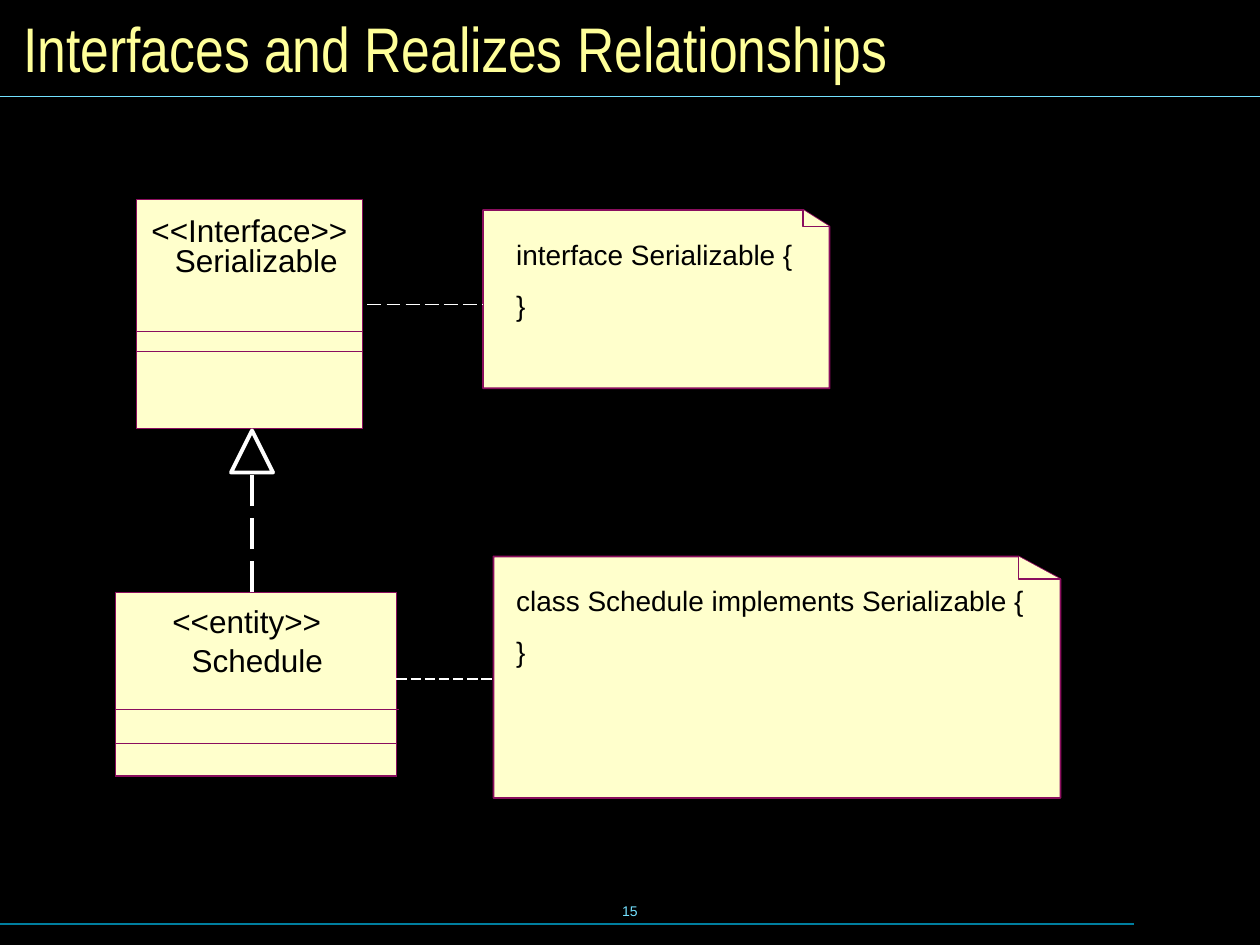
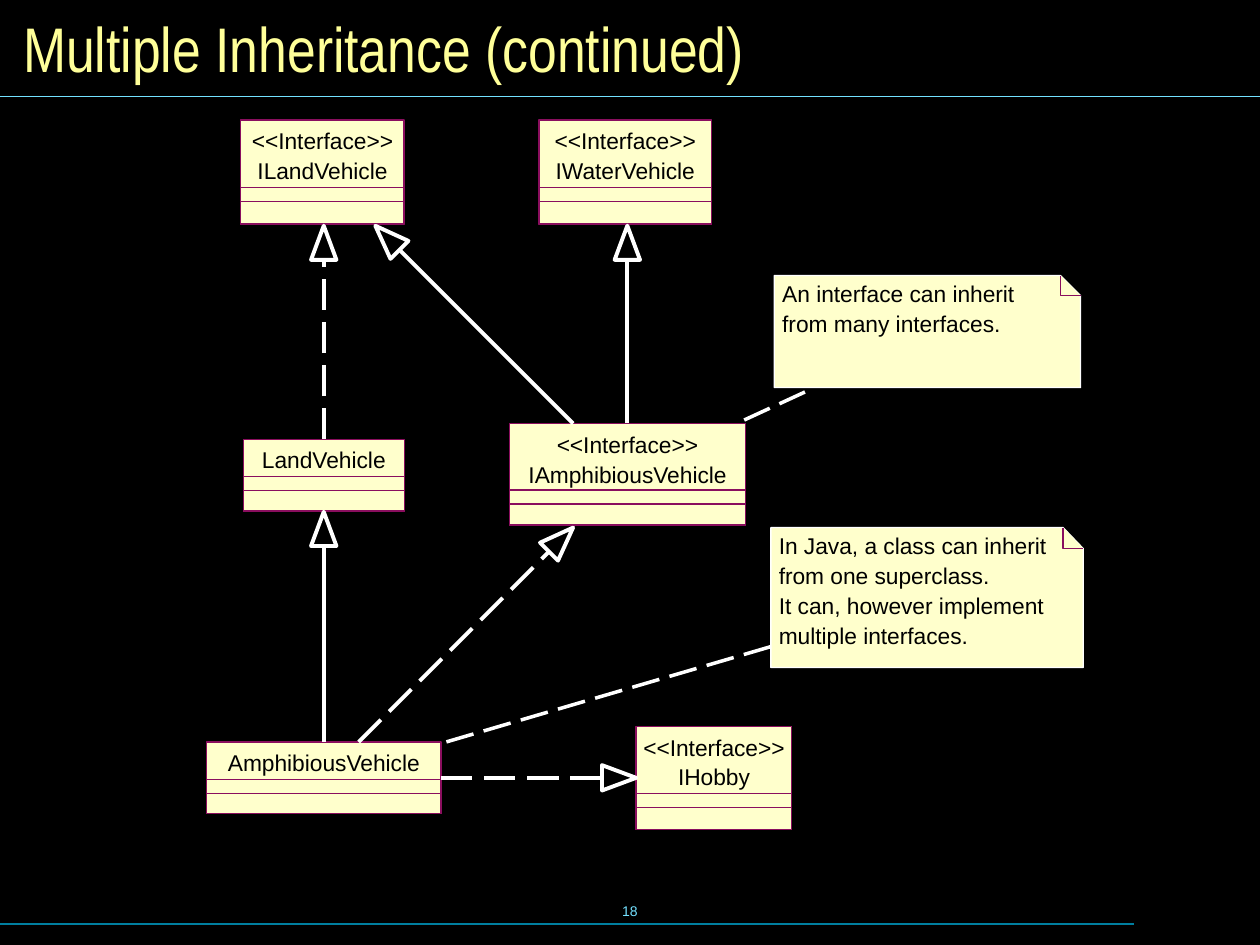
"""Build two slides of class diagrams about interfaces and inheritance."""
import math

from pptx import Presentation
from pptx.dml.color import RGBColor
from pptx.enum.dml import MSO_LINE
from pptx.enum.shapes import MSO_CONNECTOR, MSO_SHAPE
from pptx.enum.text import MSO_ANCHOR, MSO_AUTO_SIZE, PP_ALIGN
from pptx.oxml.xmlchemy import OxmlElement
from pptx.util import Pt

STRAIGHT = MSO_CONNECTOR.STRAIGHT
RECTANGLE, TRIANGLE = MSO_SHAPE.RECTANGLE, MSO_SHAPE.ISOSCELES_TRIANGLE
SOLID, DASHED = MSO_LINE.SOLID, MSO_LINE.LONG_DASH
TOP, MIDDLE = MSO_ANCHOR.TOP, MSO_ANCHOR.MIDDLE
LEFT, CENTER = PP_ALIGN.LEFT, PP_ALIGN.CENTER
NO_AUTOFIT = MSO_AUTO_SIZE.NONE

BLACK, WHITE, CREAM, PLUM = "000000", "FFFFFF", "FFFFCC", "8A0E5E"
YELLOW, AQUA, TEAL = "FFFF99", "73E1FF", "007E9F"
TITLE_FONT = {"name": "Arial Narrow", "size": Pt(36)}
PAGE_FONT = {"name": "Arial", "size": Pt(8)}
NAME_FONT = {"name": "Arial", "size": Pt(18)}
CODE_FONT = {"name": "Arial", "size": Pt(16)}
SMALL_FONT = {"name": "Arial", "size": Pt(13)}
ONE_LINE, TWO_LINES = (21.5, 29.5), (38.5, 46.5)

SHARED_LINES = [
    ((0, 528), (648, 528), TEAL, 0.75, SOLID, None),
    ((0, 55), (720, 55), AQUA, 0.75, SOLID, None),
]

# Class: left, top, width, height, section offsets, text lines.
# Note: left, top, width, height, fold width, fold height.
# Label: left, top, width, font, paragraph gap, text lines.
# Line: start, end, colour, width, dash, joined class side.
# Relation: start, tip, dash, joined class side.
SLIDES = [
    {
        "title": "Interfaces and Realizes Relationships",
        "number": "15",
        "classes": [
            (78, 114, 129, 131, (75.5, 87), []),
            (66, 338.5, 160.5, 105, (86.5,), []),
        ],
        "notes": [(276, 120, 198, 102, 15, 9.5), (282, 318, 324, 138, 24, 13)],
        "note_line": (PLUM, 1),
        "fold_line": (PLUM, 1),
        "labels": [
            (86.5, 120.5, 120, NAME_FONT, 0, ["<<Interface>>"]),
            (100, 138, 105, NAME_FONT, 0, ["Serializable"]),
            (98.5, 344, 105, NAME_FONT, 0, ["<<entity>>"]),
            (109.5, 366.5, 105, NAME_FONT, 0, ["Schedule"]),
            (295, 135.5, 172, CODE_FONT, 10, ["interface Serializable {", "}"]),
            (295, 333.5, 304, CODE_FONT, 10,
             ["class Schedule implements Serializable {", "}"]),
        ],
        "lines": [
            ((66, 405.5), (228, 405.5), PLUM, 1, SOLID, None),
            ((210, 174), (276, 174), WHITE, 1, DASHED, None),
            ((226.5, 388), (282, 388), WHITE, 0.75, DASHED, None),
        ],
        "head": (24, 24),
        "relations": [((144, 338.5), (144, 246), DASHED, None)],
    },
    {
        "title": "Multiple Inheritance (continued)",
        "number": "18",
        "classes": [
            (118, 424, 134, 41, ONE_LINE, ["AmphibiousVehicle"]),
            (139, 251, 92, 41, ONE_LINE, ["LandVehicle"]),
            (291, 242, 135, 58, (38, 46), ["<<Interface>>", "IAmphibiousVehicle"]),
            (363.5, 415, 89, 59, TWO_LINES, ["<<Interface>>", "IHobby"]),
            (308, 68.5, 98.5, 59.5, TWO_LINES, ["<<Interface>>", "IWaterVehicle"]),
            (137.5, 68.5, 93.5, 59.5, TWO_LINES, ["<<Interface>>", "ILandVehicle"]),
        ],
        "notes": [
            (440.5, 301.5, 178.5, 80, 11.5, 12),
            (442.5, 157.5, 175, 64, 11.5, 11.5),
        ],
        "note_line": (WHITE, 0),
        "fold_line": (PLUM, 0),
        "labels": [
            (445, 304, 170, SMALL_FONT, 1.5,
             ["In Java, a class can inherit", "from one superclass.",
              "It can, however implement", "multiple interfaces."]),
            (447, 160, 160, SMALL_FONT, 1.5,
             ["An interface can inherit", "from many interfaces."]),
        ],
        "lines": [
            ((440.5, 369.5), (251.5, 425), WHITE, 0, DASHED, None),
            ((460, 224), (421, 242), WHITE, 0, DASHED, None),
        ],
        "head": (14.5, 19.5),
        "relations": [
            ((185, 424), (185, 292.5), SOLID, ("AmphibiousVehicle", 0)),
            ((205, 424), (327.5, 301.5), DASHED, None),
            ((252, 444.5), (363.5, 444.5), DASHED, ("AmphibiousVehicle", 3)),
            ((358.5, 242), (358.5, 129), SOLID, ("IAmphibiousVehicle", 0)),
            ((327.5, 242), (214.5, 129), SOLID, None),
            ((185, 251), (185, 129), DASHED, ("LandVehicle", 0)),
        ],
    },
]


def paint(shape, line, width, fill=None):
    shape.shadow.inherit = False
    shape.line.color.rgb = RGBColor.from_string(line)
    shape.line.width = Pt(width)
    if fill:
        shape.fill.solid()
        shape.fill.fore_color.rgb = RGBColor.from_string(fill)
    else:
        shape.fill.background()


def write(shape, lines, font, color, align=LEFT, anchor=TOP, gap=0, margins=(0, 0)):
    frame = shape.text_frame
    side, top = map(Pt, margins)
    frame_format = {
        "word_wrap": True, "auto_size": NO_AUTOFIT, "vertical_anchor": anchor,
        "margin_left": side, "margin_right": side,
        "margin_top": top, "margin_bottom": top,
    }
    for name, value in frame_format.items():
        setattr(frame, name, value)
    frame.text = "\n".join(lines)
    for index, paragraph in enumerate(frame.paragraphs):
        paragraph.alignment = align
        paragraph.space_before = Pt(gap if index else 0)
        for name, value in font.items():
            setattr(paragraph.font, name, value)
        paragraph.font.color.rgb = RGBColor.from_string(color)


presentation = Presentation()
presentation.slide_width, presentation.slide_height = Pt(720), Pt(540)
background = presentation.slide_master.background.fill
background.solid()
background.fore_color.rgb = RGBColor.from_string(BLACK)

for content in SLIDES:
    slide = presentation.slides.add_slide(presentation.slide_layouts[5])
    shapes = slide.shapes
    title = shapes.title
    title.left, title.top, title.width, title.height = map(Pt, (6, 6, 708, 42))
    write(title, [content["title"]], TITLE_FONT, YELLOW, anchor=MIDDLE, margins=(7.2, 3.6))
    page_number = shapes.add_textbox(*map(Pt, (246, 502.5, 228, 36)))
    write(page_number, [content["number"]], PAGE_FONT, AQUA, CENTER, MIDDLE)

    classes = {}
    for left, top, width, height, sections, lines in content["classes"]:
        for offset in (0, *sections):
            section = shapes.add_shape(
                RECTANGLE, *map(Pt, (left, top + offset, width, height - offset)))
            paint(section, PLUM, 0, CREAM)
            if lines and not offset:
                write(section, lines, SMALL_FONT, BLACK, CENTER, gap=1.5, margins=(0, 4))
                classes[lines[-1]] = section

    for left, top, width, height, fold_width, fold_height in content["notes"]:
        right, bottom = left + width, top + height
        fold_left, fold_bottom = right - fold_width, top + fold_height
        body = [(left, top), (fold_left, top), (right, fold_bottom),
                (right, bottom), (left, bottom)]
        fold = [(fold_left, top), (fold_left, fold_bottom), (right, fold_bottom)]
        for points, closed, line in ((body, True, content["note_line"]),
                                     (fold, False, content["fold_line"])):
            corners = [(Pt(x), Pt(y)) for x, y in points]
            builder = shapes.build_freeform(*corners[0])
            builder.add_line_segments(corners[1:], close=closed)
            paint(builder.convert_to_shape(), *line, CREAM)

    for left, top, width, font, gap, lines in content["labels"]:
        label = shapes.add_textbox(*map(Pt, (left, top, width, 22 * len(lines))))
        write(label, lines, font, BLACK, gap=gap)

    all_lines = SHARED_LINES + content["lines"]
    head_width, head_length = content["head"]
    for start, tip, dash, joined in content["relations"]:
        across, down = tip[0] - start[0], tip[1] - start[1]
        share = head_length / math.hypot(across, down)
        base = (tip[0] - across * share, tip[1] - down * share)
        middle_x, middle_y = (tip[0] + base[0]) / 2, (tip[1] + base[1]) / 2
        head = shapes.add_shape(TRIANGLE, *map(Pt, (
            middle_x - head_width / 2, middle_y - head_length / 2,
            head_width, head_length)))
        head.rotation = math.degrees(math.atan2(across, -down))
        paint(head, WHITE, 2.25)
        all_lines.append((start, base, WHITE, 2.25, dash, joined))

    for start, end, color, width, dash, joined in all_lines:
        connector = shapes.add_connector(STRAIGHT, *map(Pt, (*start, *end)))
        connector.line.color.rgb = RGBColor.from_string(color)
        connector.line.width = Pt(width)
        connector.line.dash_style = dash
        connector._element.spPr.append(OxmlElement("a:effectLst"))
        if joined:
            name, side = joined
            connector.begin_connect(classes[name], side)

presentation.save("out.pptx")
